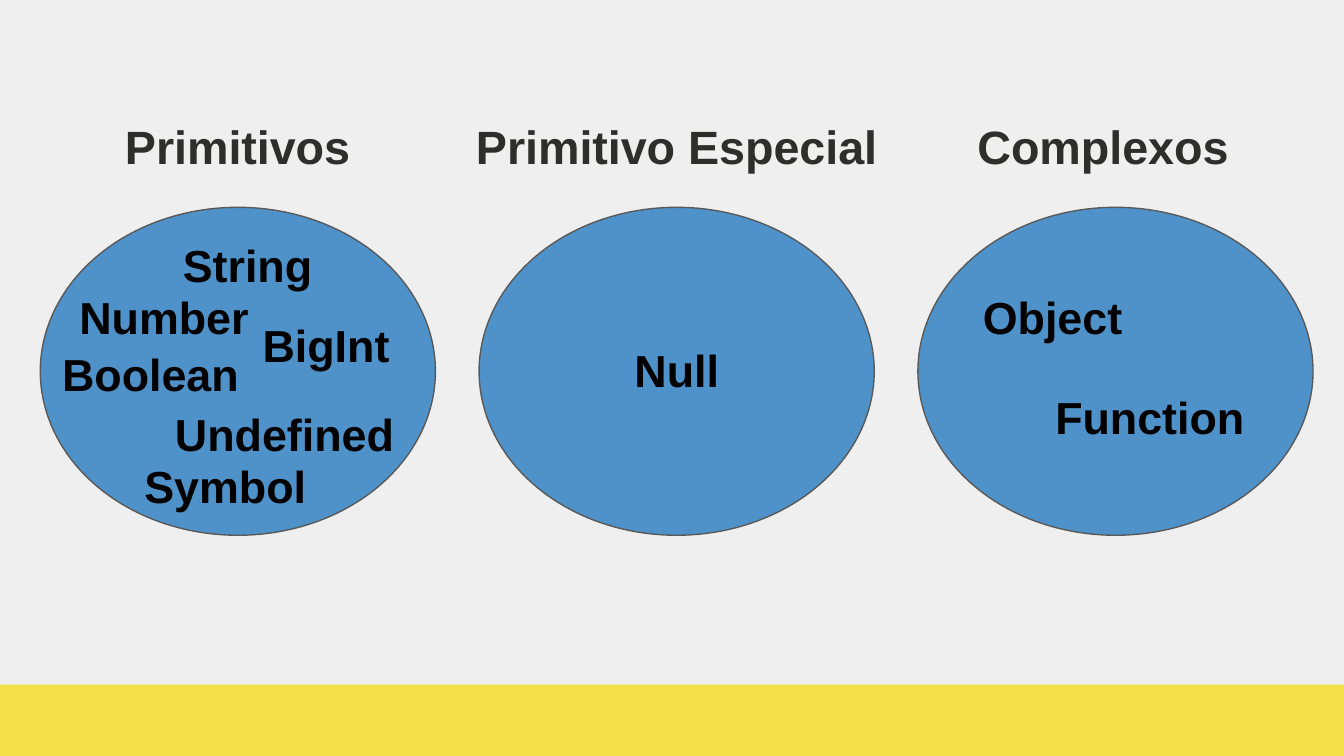
from dataclasses import dataclass

from pptx import Presentation
from pptx.dml.color import RGBColor
from pptx.enum.shapes import MSO_SHAPE
from pptx.enum.text import MSO_ANCHOR, PP_ALIGN
from pptx.util import Inches, Pt


@dataclass(frozen=True)
class Theme:
    """Colours, font and type sizes of the slide."""

    background: str = "EFEFEF"
    band: str = "F3DF49"
    circle: str = "4E92C9"
    outline: str = "595959"
    word: str = "000000"
    heading: str = "2E2E2C"
    font: str = "Arial"
    word_size: int = 24
    heading_size: int = 25
    outline_width: float = 0.75


CELL = 0.1
COLUMNS, ROWS = 100, 56.25
BAND_ROW = 50.95
CIRCLE_LEFT, CIRCLE_TOP, CIRCLE_PITCH = 3, 15.43, 32.65
CIRCLE_WIDTH, CIRCLE_HEIGHT = 29.4, 24.4
HEADING_TOP, HEADING_HEIGHT = 7.8, 4.3

GROUPS = [
    ("Primitivos", 6.43, 22.5, PP_ALIGN.CENTER, [
        ("Boolean", 3.2, 24.8, 16, 6.3),
        ("String", 11.37, 16.7, 14.1, 7.7),
        ("Number", 3.2, 20.54, 18, 6.3),
        ("Undefined", 11.37, 29.24, 19.6, 6.3),
        ("Symbol", 6.36, 33.16, 20.8, 5.3),
        ("BigInt", 13.86, 22.66, 20.8, 5.3),
    ]),
    ("Primitivo Especial", 33, 34.7, PP_ALIGN.CENTER, [
        ("Null", 41.9, 24.5, 16.9, 6.3),
    ]),
    ("Complexos", 71.74, 22.5, PP_ALIGN.LEFT, [
        ("Object", 69.87, 20.54, 16.9, 6.3),
        ("Function", 77.1, 28, 16.9, 6.3),
    ]),
]


def write_text(frame, text, *, font, size, color, align=PP_ALIGN.CENTER):
    """Put one bold, formatted line of text into a text frame."""
    paragraph = frame.paragraphs[0]
    paragraph.alignment = align
    run = paragraph.add_run()
    run.text = text
    run.font.name = font
    run.font.size = Pt(size)
    run.font.bold = True
    run.font.color.rgb = RGBColor.from_string(color)


class SlideBuilder:
    """Draws styled elements on a slide, placed in grid cells."""

    def __init__(self, slide, theme):
        """Keep the slide and theme, and paint the background."""
        self.slide = slide
        self.theme = theme
        fill = slide.background.fill
        fill.solid()
        fill.fore_color.rgb = RGBColor.from_string(theme.background)

    def place(self, *cells):
        """Turn grid cells into slide lengths."""
        return [Inches(cell * CELL) for cell in cells]

    def shape(self, kind, box, color):
        """Add a filled preset shape without line or shadow."""
        shape = self.slide.shapes.add_shape(kind, *self.place(*box))
        shape.shadow.inherit = False
        shape.fill.solid()
        shape.fill.fore_color.rgb = RGBColor.from_string(color)
        shape.line.fill.background()
        return shape

    def band(self):
        """Add the band along the bottom edge."""
        box = (0, BAND_ROW, COLUMNS, ROWS - BAND_ROW)
        self.shape(MSO_SHAPE.RECTANGLE, box, self.theme.band)

    def circle(self, index):
        """Add the outlined ellipse of one group."""
        left = CIRCLE_LEFT + index * CIRCLE_PITCH
        box = (left, CIRCLE_TOP, CIRCLE_WIDTH, CIRCLE_HEIGHT)
        shape = self.shape(MSO_SHAPE.OVAL, box, self.theme.circle)
        shape.line.color.rgb = RGBColor.from_string(self.theme.outline)
        shape.line.width = Pt(self.theme.outline_width)

    def text(self, text, box, **text_format):
        """Add a wrapping text box with even insets."""
        frame = self.slide.shapes.add_textbox(*self.place(*box)).text_frame
        frame.word_wrap = True
        frame.vertical_anchor = MSO_ANCHOR.TOP
        frame.margin_left = frame.margin_right = Inches(CELL)
        frame.margin_top = frame.margin_bottom = Inches(CELL)
        write_text(frame, text, font=self.theme.font, **text_format)

    def word(self, text, *box):
        """Add the name of one data type."""
        self.text(text, box, size=self.theme.word_size, color=self.theme.word)

    def heading(self, text, left, width, align):
        """Add the heading of one group."""
        box = (left, HEADING_TOP, width, HEADING_HEIGHT)
        self.text(text, box, size=self.theme.heading_size,
                  color=self.theme.heading, align=align)


def main():
    """Build the slide of data types and save it."""
    presentation = Presentation()
    presentation.slide_width = Inches(COLUMNS * CELL)
    presentation.slide_height = Inches(ROWS * CELL)
    slide = presentation.slides.add_slide(presentation.slide_layouts[6])
    builder = SlideBuilder(slide, Theme())
    builder.band()
    for index, (heading, left, width, align, words) in enumerate(GROUPS):
        builder.circle(index)
        for word in words:
            builder.word(*word)
        builder.heading(heading, left, width, align)
    presentation.save("out.pptx")


if __name__ == "__main__":
    main()
